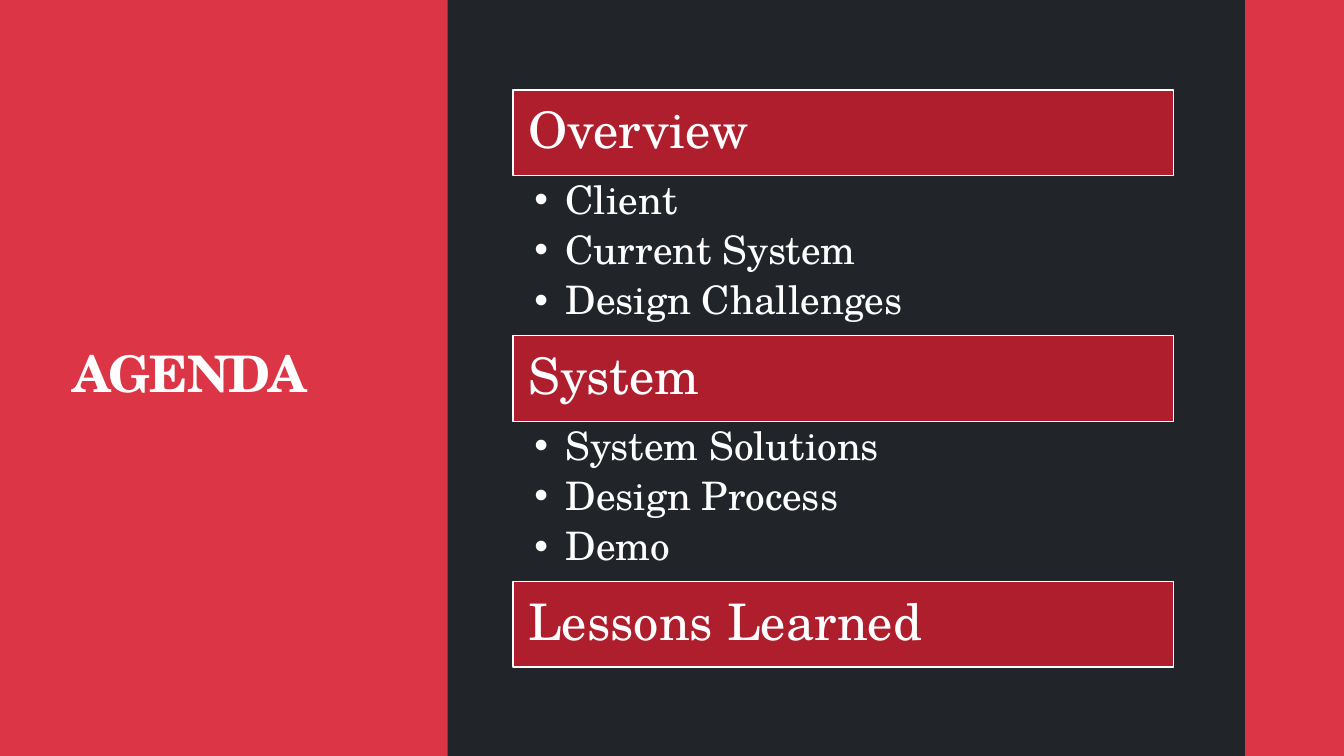
from lxml.etree import SubElement
from pptx import Presentation
from pptx.dml.color import RGBColor
from pptx.enum.shapes import MSO_SHAPE as Shape
from pptx.enum.text import MSO_ANCHOR as Anchor, MSO_AUTO_SIZE as AutoSize, PP_ALIGN as Align
from pptx.oxml.ns import qn
from pptx.util import Inches, Pt

CHARCOAL = RGBColor(0x21, 0x25, 0x29)
RED = RGBColor(0xDC, 0x35, 0x45)
DARK_RED = RGBColor(0xAF, 0x1E, 0x2C)
WHITE = RGBColor(0xFF, 0xFF, 0xFF)
FONT = "TeX Gyre Schola"
SLIDE_W, SLIDE_H = 13.33, 7.5
TWO_CONTENT = 3
HEADING_H, TOPICS_H = 0.85, 1.59

AGENDA = [
    ("Overview", ["Client", "Current System", "Design Challenges"]),
    ("System", ["System Solutions", "Design Process", "Demo"]),
    ("Lessons Learned", []),
]


def place(shape, left, top, width, height):
    """Move a shape to a box given in inches."""
    shape.left, shape.top = Inches(left), Inches(top)
    shape.width, shape.height = Inches(width), Inches(height)


def add_box(slide, box, fill):
    """Add a flat rectangle without outline."""
    rect = slide.shapes.add_shape(Shape.RECTANGLE, *map(Inches, box))
    rect.shadow.inherit = False
    rect.fill.solid()
    rect.fill.fore_color.rgb = fill
    rect.line.fill.background()
    return rect


def set_frame(frame, insets, anchor):
    """Set insets (left, top, right, bottom), anchor and wrapping."""
    (frame.margin_left, frame.margin_top,
     frame.margin_right, frame.margin_bottom) = map(Inches, insets)
    frame.vertical_anchor = anchor
    frame.word_wrap = True
    frame.auto_size = AutoSize.NONE


def style(paragraph, size, bold=False, after=0):
    """Give a paragraph the deck's white serif type."""
    paragraph.alignment = Align.LEFT
    paragraph.line_spacing = 0.9
    paragraph.space_before = Pt(0)
    paragraph.space_after = Pt(after)
    font = paragraph.font
    font.name, font.size, font.bold = FONT, Pt(size), bold
    font.color.rgb = WHITE


def add_bullet(paragraph, indent):
    """Give a paragraph a round bullet with a hanging indent."""
    props = paragraph._p.get_or_add_pPr()
    props.set("marL", str(Inches(indent)))
    props.set("indent", str(-Inches(indent)))
    bullet_font = SubElement(props, qn("a:buFont"))
    bullet_font.set("typeface", "Arial")
    bullet = SubElement(props, qn("a:buChar"))
    bullet.set("char", "•")


def build_title(slide, left, top, width, height):
    """Fill the red side panel with the slide title."""
    panel = add_box(slide, (left, top, width, height), RED)
    title = slide.shapes.title
    title._element.addprevious(panel._element)
    place(title, left + 0.62, top + 0.91, 2.97, 5.67)
    title.text = "AGENDA"
    set_frame(title.text_frame, (0.1, 0.03, 0.1, 0.05), Anchor.MIDDLE)
    heading = title.text_frame.paragraphs[0]
    style(heading, 36, bold=True)
    heading.font._element.set("spc", "-50")


def build_heading(slide, text, box):
    """Add one outlined section bar."""
    bar = add_box(slide, box, DARK_RED)
    bar.line.color.rgb = WHITE
    bar.line.width = Pt(1.1)
    set_frame(bar.text_frame, (0.15,) * 4, Anchor.MIDDLE)
    bar.text_frame.text = text
    style(bar.text_frame.paragraphs[0], 36)


def build_topics(holder, topics, box):
    """Fill a body placeholder with one section's bulleted topics."""
    place(holder, *box)
    set_frame(holder.text_frame, (0.21, 0.05, 0.28, 0.05), Anchor.TOP)
    holder.text_frame.text = "\n".join(topics)
    for paragraph in holder.text_frame.paragraphs:
        add_bullet(paragraph, 0.31)
        style(paragraph, 28, after=5.6)


def build_agenda(slide, left, top, width):
    """Stack the section bars and their topics downwards."""
    holders = iter([p for p in slide.placeholders if p.placeholder_format.idx in (1, 2)])
    for heading, topics in AGENDA:
        build_heading(slide, heading, (left, top, width, HEADING_H))
        top += HEADING_H
        if topics:
            build_topics(next(holders), topics, (left, top, width, TOPICS_H))
            top += TOPICS_H


def main():
    """Build and save the agenda slide."""
    deck = Presentation()
    deck.slide_width, deck.slide_height = Inches(SLIDE_W), Inches(SLIDE_H)
    slide = deck.slides.add_slide(deck.slide_layouts[TWO_CONTENT])
    slide.background.fill.solid()
    slide.background.fill.fore_color.rgb = CHARCOAL
    build_title(slide, 0, 0, 4.44, SLIDE_H)
    add_box(slide, (12.35, 0, SLIDE_W - 12.35, SLIDE_H), RED)
    build_agenda(slide, 5.09, 0.89, 6.55)
    deck.save("out.pptx")


main()
